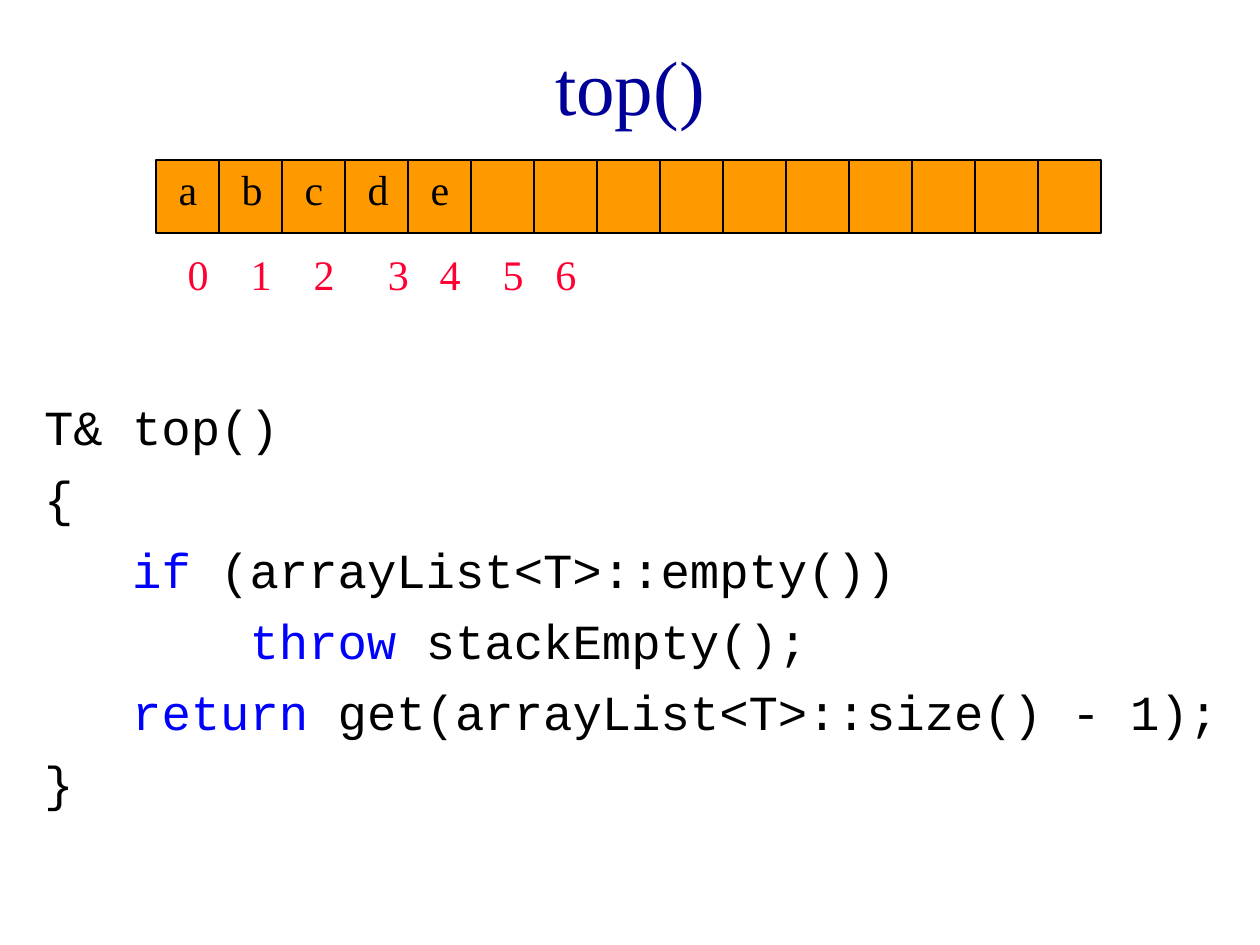
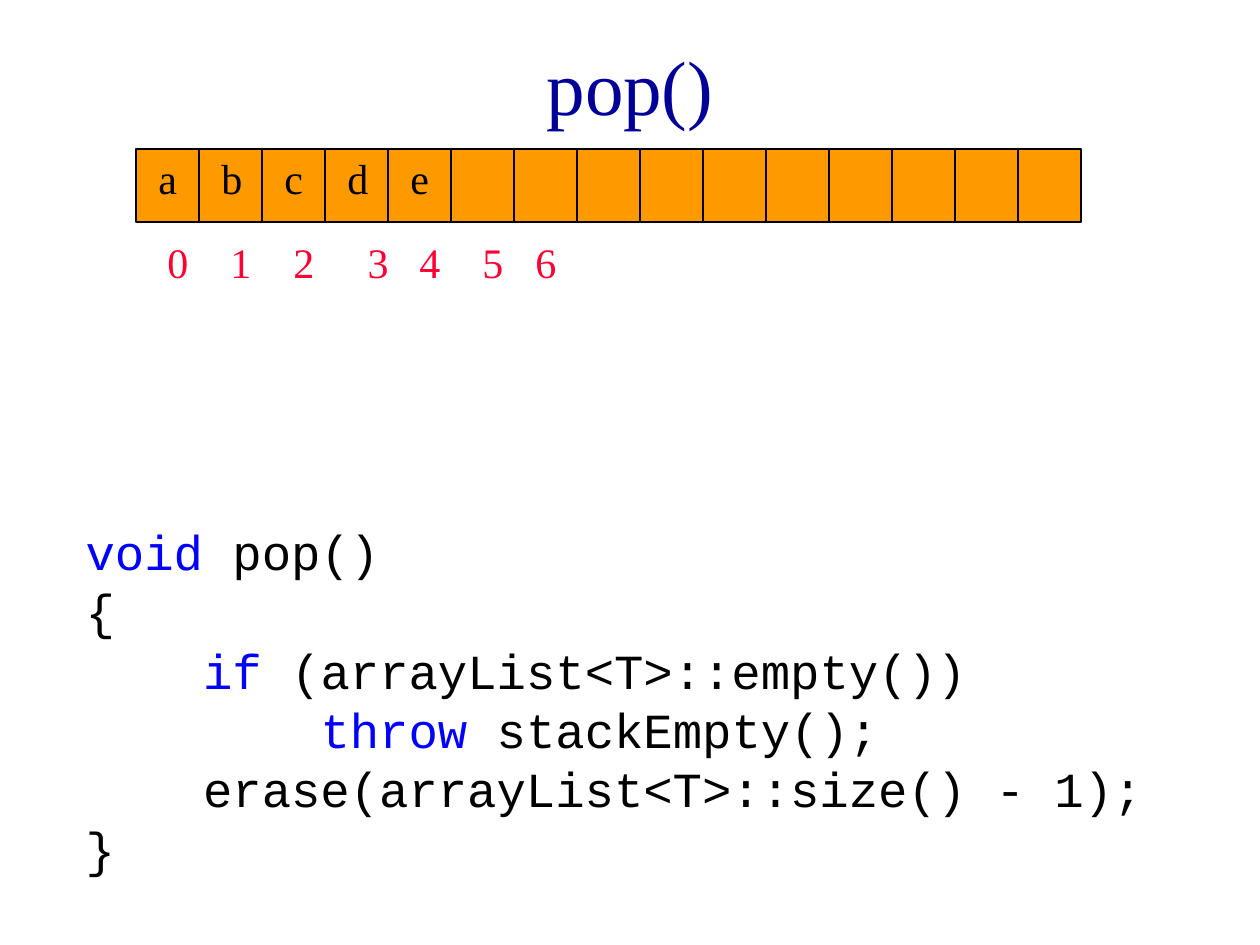
from dataclasses import dataclass

from lxml import etree
from pptx import Presentation
from pptx.dml.color import RGBColor
from pptx.enum.shapes import MSO_CONNECTOR, MSO_SHAPE
from pptx.enum.text import MSO_ANCHOR, MSO_AUTO_SIZE, PP_ALIGN
from pptx.oxml.ns import qn
from pptx.util import Inches, Pt

RECTANGLE = MSO_SHAPE.RECTANGLE
STRAIGHT = MSO_CONNECTOR.STRAIGHT
MIDDLE, TOP = MSO_ANCHOR.MIDDLE, MSO_ANCHOR.TOP
CENTER, LEFT = PP_ALIGN.CENTER, PP_ALIGN.LEFT
NO_FIT, GROW = MSO_AUTO_SIZE.NONE, MSO_AUTO_SIZE.SHAPE_TO_FIT_TEXT

KEYWORDS = {"if", "throw", "return", "void"}
ELEMENTS = "abcde"
INDEX_COUNT = 7
INDEX_NUDGES = {3: 0.09, 6: -0.08}
CELL_COUNT = 15
CELL_WIDTH, CELL_HEIGHT = 0.5, 0.58

TOP_CODE = """T& top()
{
   if (arrayList<T>::empty())
       throw stackEmpty();
   return get(arrayList<T>::size() - 1);
}"""

POP_CODE = """void pop()
{
    if (arrayList<T>::empty())
        throw stackEmpty();
    erase(arrayList<T>::size() - 1);
}"""


@dataclass(frozen=True)
class Theme:
    title: RGBColor = RGBColor(0x00, 0x00, 0x99)
    ink: RGBColor = RGBColor(0x00, 0x00, 0x00)
    keyword: RGBColor = RGBColor(0x00, 0x00, 0xFF)
    cell: RGBColor = RGBColor(0xFF, 0x99, 0x00)
    index: RGBColor = RGBColor(0xFF, 0x00, 0x33)
    text_font: str = "Times New Roman"
    code_font: str = "Courier New"
    title_size: int = 44
    code_size: int = 28
    label_size: int = 24
    line_width: int = 1
    code_gap: int = 7


class Deck:
    def __init__(self, theme):
        self.theme = theme
        self.prs = Presentation()
        self.prs.slide_width, self.prs.slide_height = Inches(10), Inches(7.5)
        self.slide = None

    def style(self, font, name, size, color):
        font.name, font.size, font.color.rgb = name, Pt(size), color

    def place(self, shape, left, top, width, height):
        shape.left, shape.top = Inches(left), Inches(top)
        shape.width, shape.height = Inches(width), Inches(height)

    def new_slide(self, heading):
        self.slide = self.prs.slides.add_slide(self.prs.slide_layouts[0])
        title = self.slide.shapes.title
        self.place(title, 0.75, 0.17, 8.5, 1)
        frame = title.text_frame
        frame.text = heading
        frame.auto_size, frame.vertical_anchor = NO_FIT, MIDDLE
        frame.paragraphs[0].alignment = CENTER
        self.style(frame.paragraphs[0].runs[0].font, self.theme.text_font,
                   self.theme.title_size, self.theme.title)

    def code(self, source, left, top, width, height, line_spacing=1.0):
        """Fill the body placeholder, colouring a keyword that opens a line."""
        body = self.slide.placeholders[1]
        self.place(body, left, top, width, height)
        frame = body.text_frame
        frame.text = source
        frame.auto_size, frame.vertical_anchor = NO_FIT, TOP
        for number, paragraph in enumerate(frame.paragraphs):
            line = paragraph.text
            paragraph.alignment = LEFT
            paragraph.line_spacing = line_spacing
            paragraph.space_before = Pt(self.theme.code_gap if number else 0)
            word = line.split()[0]
            if word in KEYWORDS:
                indent, _, rest = line.partition(word)
                paragraph.clear()
                pieces = [indent, word, rest]
                for piece in filter(None, pieces):
                    paragraph.add_run().text = piece
            for run in paragraph.runs:
                color = self.theme.keyword if run.text in KEYWORDS else self.theme.ink
                self.style(run.font, self.theme.code_font, self.theme.code_size, color)

    def divider(self, group, x, top):
        line = group.shapes.add_connector(
            STRAIGHT, Inches(x), Inches(top), Inches(x), Inches(top + CELL_HEIGHT))
        line.line.color.rgb = self.theme.ink
        line.line.width = Pt(self.theme.line_width)
        etree.SubElement(line._element.spPr, qn("a:effectLst"))

    def label(self, group, text, left, top, color):
        box = group.shapes.add_textbox(
            Inches(left), Inches(top), Inches(0.37), Inches(0.5))
        frame = box.text_frame
        frame.text = text
        frame.word_wrap, frame.auto_size = False, GROW
        self.style(frame.paragraphs[0].runs[0].font, self.theme.text_font,
                   self.theme.label_size, color)

    def stack_array(self, left, top):
        """Draw the array cells with their elements and indexes as one group."""
        group = self.slide.shapes.add_group_shape()
        strip = group.shapes.add_shape(
            RECTANGLE, Inches(left), Inches(top),
            Inches(CELL_COUNT * CELL_WIDTH), Inches(CELL_HEIGHT))
        strip.shadow.inherit = False
        strip.fill.solid()
        strip.fill.fore_color.rgb = self.theme.cell
        strip.line.color.rgb = self.theme.ink
        strip.line.width = Pt(self.theme.line_width)
        for cell in range(1, CELL_COUNT):
            self.divider(group, left + cell * CELL_WIDTH, top)
        for index in range(INDEX_COUNT):
            x = left + 0.15 + index * CELL_WIDTH + INDEX_NUDGES.get(index, 0)
            self.label(group, str(index), x, top + 0.65, self.theme.index)
        for cell, element in enumerate(ELEMENTS):
            self.label(group, element, left + 0.08 + cell * CELL_WIDTH,
                       top - 0.02, self.theme.ink)


def main():
    deck = Deck(Theme())

    # Reading the top element
    deck.new_slide("top()")
    deck.code(TOP_CODE, 0.25, 3.1, 9.75, 4.4)
    deck.stack_array(1.24, 1.27)

    # Removing the top element
    deck.new_slide("pop()")
    deck.code(POP_CODE, 0.58, 4.18, 9.42, 2.58, line_spacing=0.8)
    deck.stack_array(1.08, 1.18)

    deck.prs.save("out.pptx")


if __name__ == "__main__":
    main()
